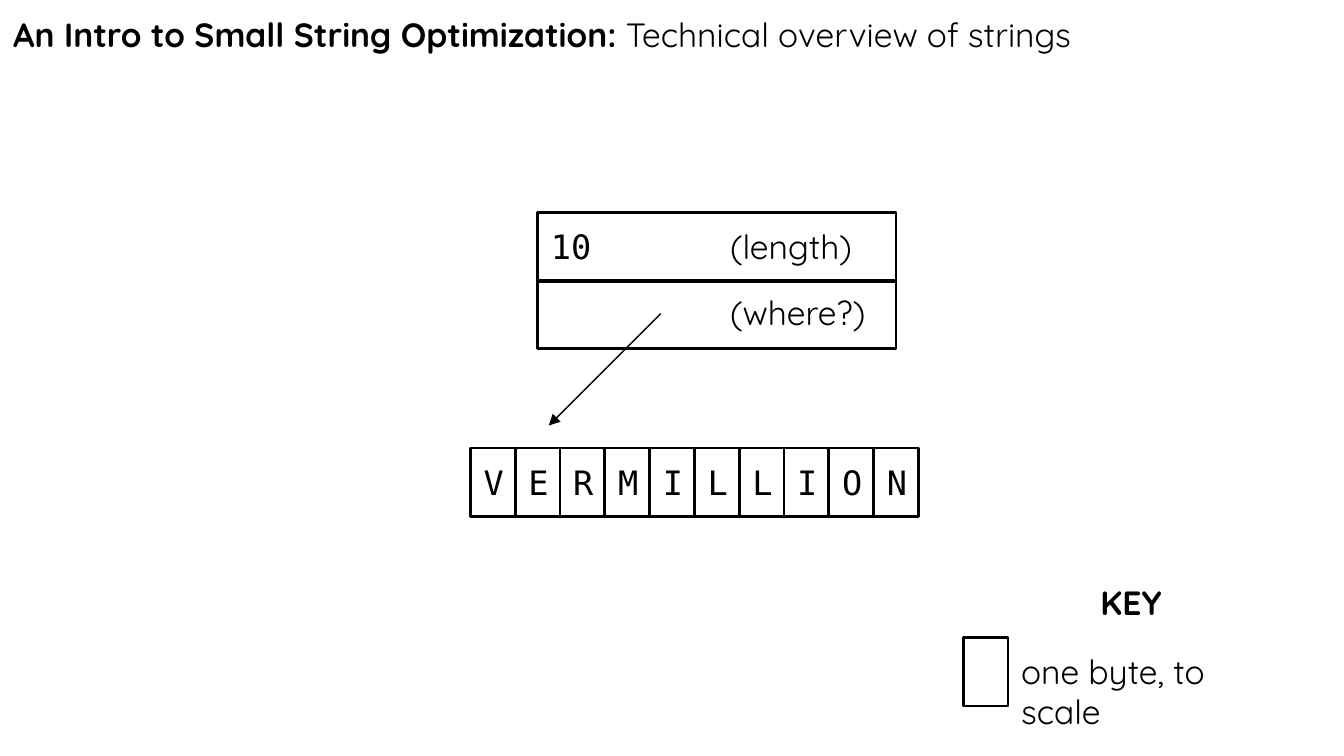
from lxml.etree import SubElement
from pptx import Presentation
from pptx.dml.color import RGBColor
from pptx.enum.shapes import MSO_CONNECTOR, MSO_SHAPE
from pptx.enum.text import MSO_ANCHOR, PP_ALIGN
from pptx.oxml.ns import qn
from pptx.util import Inches, Pt

COLORS = {"ink": "000000", "paper": "FFFFFF"}
INK = RGBColor.from_string(COLORS["ink"])
SANS, MONO = "Quicksand", "DejaVu Sans Mono"

prs = Presentation()
prs.slide_width = Inches(10)
prs.slide_height = prs.slide_width * 9 // 16
s = prs.slides.add_slide(prs.slide_layouts[6])
s.background.fill.solid()
s.background.fill.fore_color.rgb = RGBColor.from_string(COLORS["paper"])

BYTE = prs.slide_width / 30  # grid step: the width of one byte
ROW = 1.53                   # box height, in grid steps
WORD = 8                     # bytes in one field of the string header
HEADER_X, LABEL_X, CHARS_X, KEY_X = 12, 16, 10.5, 21.5
LENGTH_Y, WHERE_Y, CHARS_Y, KEY_Y = 4.75, 6.25, 10, 12.7


def grid(*steps):
    return [round(n * BYTE) for n in steps]


def add_item(x, y, w, runs=(), font=SANS, boxed=False, align=PP_ALIGN.LEFT):
    """Add a text box or an outlined box; runs holds (text, bold) pairs."""
    place = grid(x, y, w, ROW)
    if boxed:
        sp = s.shapes.add_shape(MSO_SHAPE.RECTANGLE, *place)
        sp.shadow.inherit = False
        sp.fill.background()
        sp.line.color.rgb = INK
        sp.line.width = Pt(1.5)
    else:
        sp = s.shapes.add_textbox(*place)
    tf = sp.text_frame
    tf.word_wrap = True
    tf.vertical_anchor = MSO_ANCHOR.TOP
    for side in ("left", "top", "right", "bottom"):
        setattr(tf, f"margin_{side}", Inches(0.1))
    p = tf.paragraphs[0]
    p.alignment = align
    for text, bold in runs:
        r = p.add_run()
        r.text = text
        for name, value in {"name": font, "size": Pt(18), "bold": bold}.items():
            setattr(r.font, name, value)
        r.font.color.rgb = INK


add_item(0, 0, 30, [("An Intro to Small String Optimization:", True),
                    (" Technical overview of strings", False)])

# String header: two fields of one word each
add_item(HEADER_X, WHERE_Y, WORD, boxed=True)
add_item(HEADER_X, LENGTH_Y, WORD, [("10", False)], MONO, boxed=True)
for y, label in ((LENGTH_Y, "(length)"), (WHERE_Y - 0.03, "(where?)")):
    add_item(LABEL_X, y, WORD / 2, [(label, False)])

# Key
add_item(KEY_X, KEY_Y + ROW, 1, boxed=True)
add_item(KEY_X, KEY_Y, 7.5, [("KEY", True)], align=PP_ALIGN.CENTER)
add_item(KEY_X + 1, KEY_Y + ROW, 6.5, [("one byte, to scale", False)])

# Pointer from the header to the characters
arrow = s.shapes.add_connector(MSO_CONNECTOR.STRAIGHT, *grid(14.75, 7, 12.25, 9.5))
arrow.line.color.rgb = INK
arrow.line.width = Pt(0.75)
SubElement(arrow.line._get_or_add_ln(), qn("a:tailEnd"), type="triangle")
SubElement(arrow._element.spPr, qn("a:effectLst"))

# Characters, one byte each
for i, char in enumerate("VERMILLION"):
    add_item(CHARS_X + i, CHARS_Y, 1, [(char, False)], MONO, boxed=True)

prs.save("out.pptx")
